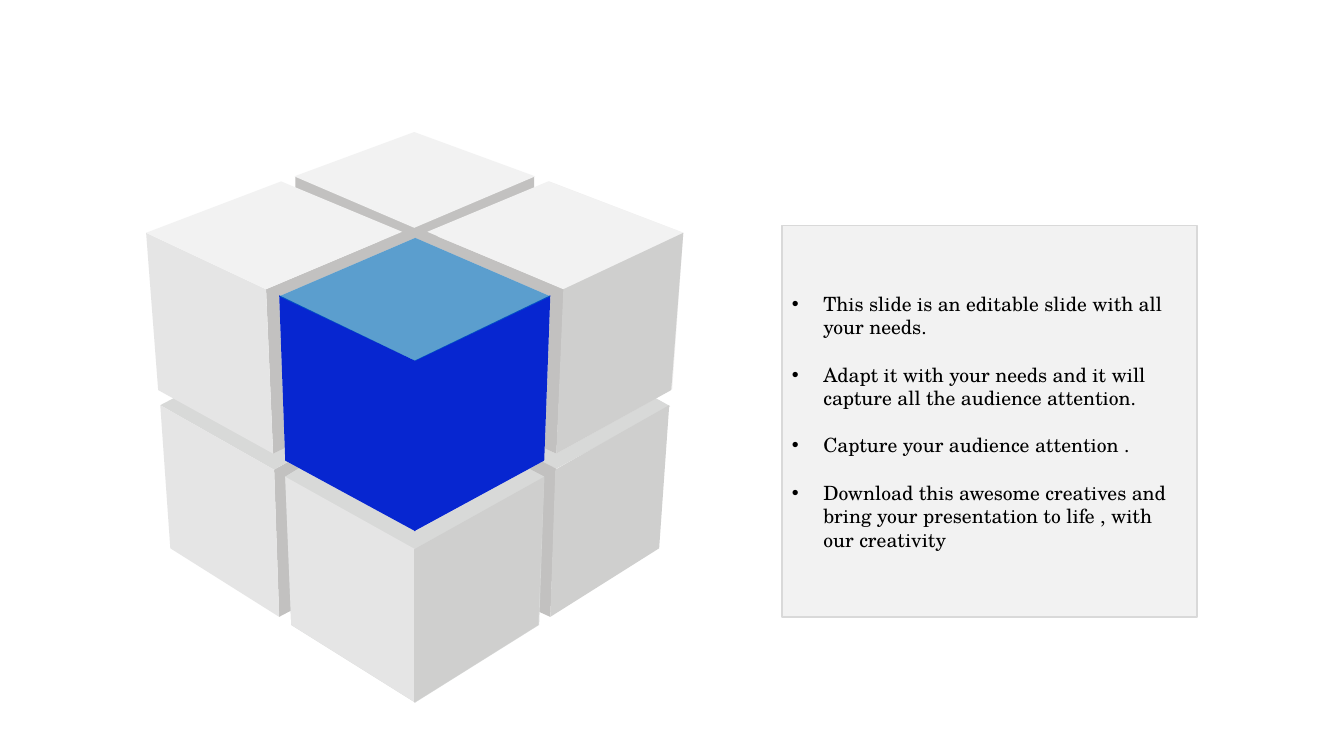
from lxml import etree
from pptx import Presentation
from pptx.dml.color import RGBColor
from pptx.enum import shapes, text
from pptx.oxml import ns
from pptx.util import Cm, Pt

INCH = 2.54
AXIS = 4.115
FONT = "TeX Gyre Schola"

BLACK = RGBColor(0x00, 0x00, 0x00)
PALE = RGBColor(0xF2, 0xF2, 0xF2)
BACK = RGBColor(0xF0, 0xEF, 0xEF)
LIGHT = RGBColor(0xE5, 0xE5, 0xE5)
LEDGE = RGBColor(0xD8, 0xD9, 0xD8)
SHADE = RGBColor(0xCF, 0xCF, 0xCE)
GAP = RGBColor(0xC2, 0xC1, 0xC0)
EDGE = RGBColor(0xD9, 0xD9, 0xD9)
BLUE = RGBColor(0x07, 0x26, 0xD0)
SKY = RGBColor(0x00, 0x70, 0xC0)

LOW_SIDE = [(1.59, 4.02), (2.72, 4.66), (2.77, 6.12), (1.69, 5.44)]
LOW_FRONT = [(2.83, 4.73), (4.12, 5.45), (4.12, 6.97), (2.89, 6.2)]
TOP_SIDE = [(1.45, 2.31), (2.64, 2.87), (2.71, 4.5), (1.57, 3.87)]
TOP_LID = [(1.45, 2.31), (2.79, 1.8), (3.99, 2.3), (2.64, 2.87)]
HERO_SIDE = [(2.77, 2.93), (4.12, 3.58), (4.12, 5.27), (2.83, 4.57)]

POINTS = [
    "This slide is an editable slide with all your needs.",
    "Adapt it with your needs and it will capture all the audience attention.",
    "Capture your audience attention .",
    "Download this awesome creatives and bring your presentation to life , with our creativity",
]


def flip(face):
    return [(2 * AXIS - x, y) for x, y in face]


FACES = [
    (LEDGE, [(6.65, 4.03), (6.2, 3.78), (5.25, 4.15), (5.38, 4.58), (5.52, 4.65)]),
    (GAP, [(5.52, 4.65), (5.11, 4.44), (4.93, 4.5), (4.98, 4.75), (5.17, 4.86),
           (5.35, 6.07), (5.46, 6.12)]),
    (SHADE, flip(LOW_SIDE)),
    (GAP, [(2.77, 6.12), (3.17, 5.91), (3.08, 4.46), (2.72, 4.66)]),
    (LEDGE, [(1.59, 4.02), (2.03, 3.79), (2.71, 4.5), (2.86, 4.42), (2.86, 4.58),
             (2.72, 4.66)]),
    (LIGHT, LOW_SIDE),
    (LEDGE, [(2.83, 4.73), (3.14, 4.54), (5.23, 4.64), (5.4, 4.73), (5.35, 6.2),
             (4.12, 6.97), (2.89, 6.2)]),
    (BACK, [(5.45, 1.8), (6.78, 2.31), (6.67, 3.86), (5.52, 4.5), (5.32, 4.41),
            (5.32, 2.97), (4.25, 2.5), (4.25, 2.31)]),
    (GAP, [(2.93, 1.75), (2.93, 1.94), (3.75, 2.3), (3.79, 2.55), (4.12, 2.4),
           (4.11, 2.25)]),
    (GAP, [(2.71, 4.5), (2.98, 4.37), (2.95, 3.08), (3.99, 2.48), (3.99, 2.3),
           (2.64, 2.87)]),
    (GAP, [(4.11, 2.25), (5.3, 1.75), (5.3, 1.89), (4.34, 2.3), (4.35, 2.52),
           (4.1, 2.46)]),
    (LEDGE, [(2.83, 4.73), (3.14, 4.54), (5.23, 4.64), (5.4, 4.73), (4.12, 5.45)]),
    (LIGHT, TOP_SIDE),
    (GAP, [(4.25, 2.31), (4.25, 2.5), (5.32, 2.97), (5.32, 4.41), (5.52, 4.5),
           (5.6, 2.87)]),
    (LIGHT, LOW_FRONT),
    (SHADE, flip(LOW_FRONT)),
    (PALE, TOP_LID),
    (PALE, flip(TOP_LID)),
    (PALE, [(4.11, 1.31), (5.31, 1.75), (4.11, 2.26), (2.92, 1.75)]),
    (LIGHT, [(4.12, 2.36), (5.46, 2.94), (5.4, 4.57), (4.12, 5.27), (2.83, 4.57),
             (2.77, 2.94)]),
    (BLUE, HERO_SIDE),
    (BLUE, flip(HERO_SIDE)),
    (SKY, [(2.77, 2.94), (4.12, 2.36), (5.46, 2.94), (4.12, 3.58)]),
    (SHADE, flip(TOP_SIDE)),
]


def paint(shape, color):
    shape.shadow.inherit = False
    shape.fill.solid()
    shape.fill.fore_color.rgb = color


def fade(shape, share):
    color = shape.fill._xPr.find(".//" + ns.qn("a:srgbClr"))
    etree.SubElement(color, ns.qn("a:alpha"), val=str(share * 1000))


def add_face(slide, color, face):
    spots = [(Cm(x * INCH), Cm(y * INCH)) for x, y in face]
    pen = slide.shapes.build_freeform(*spots[0])
    pen.add_line_segments(spots[1:])
    shape = pen.convert_to_shape()
    paint(shape, color)
    shape.line.fill.background()
    return shape


def add_point(para, words):
    para.text = words
    para.alignment = text.PP_ALIGN.LEFT
    para.font.name = FONT
    para.font.size = Pt(14)
    para.font.color.rgb = BLACK
    props = para._p.get_or_add_pPr()
    props.set("marL", str(Cm(0.79)))
    props.set("indent", str(Cm(-0.79)))
    etree.SubElement(props, ns.qn("a:buFont"), typeface="Arial")
    etree.SubElement(props, ns.qn("a:buChar"), char="•")
    props.append(props.find(ns.qn("a:defRPr")))


def add_panel(slide):
    panel = slide.shapes.add_shape(
        shapes.MSO_SHAPE.RECTANGLE, Cm(19.71), Cm(5.69), Cm(10.46), Cm(9.86))
    paint(panel, PALE)
    panel.line.color.rgb = EDGE
    panel.line.width = Pt(1)
    frame = panel.text_frame
    frame.word_wrap = True
    frame.vertical_anchor = text.MSO_ANCHOR.MIDDLE
    for rank, words in enumerate(POINTS):
        para = frame.add_paragraph() if rank else frame.paragraphs[0]
        if rank:
            para.space_before = Pt(17)
        add_point(para, words)


def main():
    deck = Presentation()
    deck.slide_width, deck.slide_height = Cm(33.87), Cm(19.05)
    slide = deck.slides.add_slide(deck.slide_layouts[6])
    for color, face in FACES:
        shape = add_face(slide, color, face)
        if color == SKY:
            fade(shape, 60)
    add_panel(slide)
    deck.save("out.pptx")


if __name__ == "__main__":
    main()
